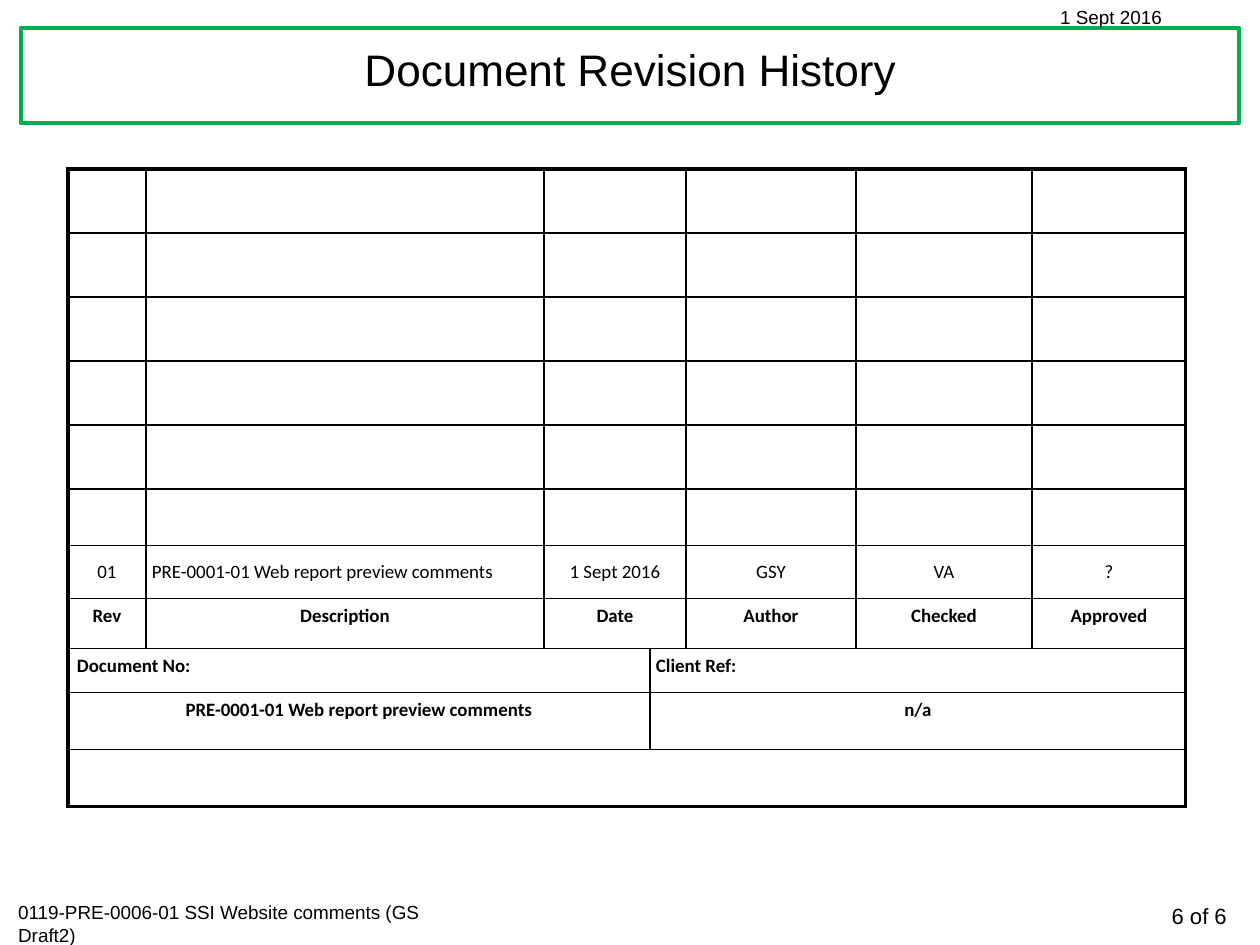
from dataclasses import dataclass

from lxml import etree
from pptx import Presentation
from pptx.dml.color import RGBColor
from pptx.enum.shapes import MSO_SHAPE
from pptx.enum.text import MSO_ANCHOR, MSO_AUTO_SIZE, PP_ALIGN
from pptx.oxml.ns import qn
from pptx.util import Emu, Pt

LEFT, CENTER, RIGHT = PP_ALIGN.LEFT, PP_ALIGN.CENTER, PP_ALIGN.RIGHT
TOP, MIDDLE = MSO_ANCHOR.TOP, MSO_ANCHOR.MIDDLE
RECTANGLE = MSO_SHAPE.RECTANGLE
NO_AUTOFIT = MSO_AUTO_SIZE.NONE
TITLE_ONLY = 5
EMU_PER_PX = 914400 / 113.4


@dataclass(frozen=True)
class Theme:
    ink: str = "000000"
    paper: str = "FFFFFF"
    accent: str = "00B050"
    heading_font: str = "Arial"
    table_font: str = "Calibri"
    title_size: int = 28
    page_size: int = 14
    small_size: int = 12
    frame_line: float = 2.75
    outer_line: float = 2.25
    inner_line: float = 1


THEME = Theme()

COLUMN_WIDTHS = [78, 398, 106, 36, 170, 176, 154]
ROW_HEIGHTS = [64] * 5 + [57, 53, 50, 44, 57, 57]
REVISION_ROW, HEADING_ROW, LABEL_ROW, REFERENCE_ROW, BLANK_ROW = range(6, 11)
REVISION_COLUMNS = [0, 1, 2, 4, 5, 6]
REVISION = ["01", "PRE-0001-01 Web report preview comments", "1 Sept 2016", "GSY", "VA", "?"]
HEADINGS = ["Rev", "Description", "Date", "Author", "Checked", "Approved"]
CLIENT_COLUMN = 3


def px(length):
    return Emu(round(length * EMU_PER_PX))


def format_text(frame, font, size, align, bold=False):
    for paragraph in frame.paragraphs:
        paragraph.alignment = align
        for run in paragraph.runs:
            run.font.name = font
            run.font.size = Pt(size)
            run.font.bold = bold
            run.font.color.rgb = RGBColor.from_string(THEME.ink)


def add_title_frame(slide, left, top, width, height):
    frame = slide.shapes.add_shape(RECTANGLE, px(left), px(top), px(width), px(height))
    frame.shadow.inherit = False
    frame.fill.solid()
    frame.fill.fore_color.rgb = RGBColor.from_string(THEME.paper)
    frame.line.color.rgb = RGBColor.from_string(THEME.accent)
    frame.line.width = Pt(THEME.frame_line)
    slide.shapes._spTree.insert(2, frame._element)


def set_title(slide, text, left, top, width, height):
    title = slide.shapes.title
    title.left, title.top, title.width, title.height = map(px, (left, top, width, height))
    title.text_frame.text = text
    title.text_frame.auto_size = NO_AUTOFIT
    title.text_frame.vertical_anchor = MIDDLE
    title.text_frame.paragraphs[0].line_spacing = 0.9
    format_text(title.text_frame, THEME.heading_font, THEME.title_size, CENTER)


def add_label(slide, text, left, top, width, height, size, align=LEFT):
    label = slide.shapes.add_textbox(px(left), px(top), px(width), px(height))
    label.text_frame.word_wrap = True
    label.text_frame.text = text
    format_text(label.text_frame, THEME.heading_font, size, align)


def set_borders(cell, widths):
    properties = cell._tc.get_or_add_tcPr()
    for position, (side, width) in enumerate(widths.items()):
        line = etree.Element(qn(f"a:ln{side}"), w=str(Pt(width)))
        fill = etree.SubElement(line, qn("a:solidFill"))
        etree.SubElement(fill, qn("a:srgbClr"), val=THEME.ink)
        properties.insert(position, line)


def style_grid(table):
    last_row, last_column = len(ROW_HEIGHTS) - 1, len(COLUMN_WIDTHS) - 1
    for row in range(last_row + 1):
        for column in range(last_column + 1):
            cell = table.cell(row, column)
            cell.fill.background()
            cell.margin_left = cell.margin_right = px(6)
            cell.margin_top = cell.margin_bottom = px(6)
            right_column = column + cell.span_width - 1 if cell.is_merge_origin else column
            on_edge = {
                "L": column == 0,
                "R": right_column == last_column,
                "T": row == 0,
                "B": row == last_row,
            }
            set_borders(cell, {
                side: THEME.outer_line if outer else THEME.inner_line
                for side, outer in on_edge.items()
            })


def fill_cell(cell, text, align=CENTER, anchor=TOP, bold=True):
    cell.text_frame.text = text
    cell.vertical_anchor = anchor
    format_text(cell.text_frame, THEME.table_font, THEME.small_size, align, bold)


def add_revision_table(slide, left, top):
    table = slide.shapes.add_table(
        len(ROW_HEIGHTS), len(COLUMN_WIDTHS), px(left), px(top),
        px(sum(COLUMN_WIDTHS)), px(sum(ROW_HEIGHTS)),
    ).table
    table.first_row = table.horz_banding = False
    for column, width in zip(table.columns, COLUMN_WIDTHS):
        column.width = px(width)
    for row, height in zip(table.rows, ROW_HEIGHTS):
        row.height = px(height)

    for row in range(LABEL_ROW):
        table.cell(row, 2).merge(table.cell(row, 3))
    for row in (LABEL_ROW, REFERENCE_ROW):
        table.cell(row, 0).merge(table.cell(row, 2))
        table.cell(row, CLIENT_COLUMN).merge(table.cell(row, 6))
    table.cell(BLANK_ROW, 0).merge(table.cell(BLANK_ROW, 6))
    style_grid(table)

    for column, entry, heading in zip(REVISION_COLUMNS, REVISION, HEADINGS):
        align = LEFT if heading == "Description" else CENTER
        fill_cell(table.cell(REVISION_ROW, column), entry, align, MIDDLE, bold=False)
        fill_cell(table.cell(HEADING_ROW, column), heading)
    document_label = table.cell(LABEL_ROW, 0)
    fill_cell(document_label, "Document No:", LEFT)
    document_label.margin_left = px(9)
    fill_cell(table.cell(LABEL_ROW, CLIENT_COLUMN), "Client Ref:", LEFT)
    fill_cell(table.cell(REFERENCE_ROW, 0), "PRE-0001-01 Web report preview comments")
    fill_cell(table.cell(REFERENCE_ROW, CLIENT_COLUMN), "n/a")


def main():
    presentation = Presentation()
    presentation.slide_width, presentation.slide_height = px(1260), px(945)
    slide = presentation.slides.add_slide(presentation.slide_layouts[TITLE_ONLY])
    add_title_frame(slide, 21, 28, 1218, 95)
    set_title(slide, "Document Revision History", 24, 28, 1212, 88)
    add_label(slide, "6 of 6", 1066, 897, 172, 39, THEME.page_size, RIGHT)
    add_label(slide, "0119-PRE-0006-01 SSI Website comments (GS Draft2)",
              7, 895, 452, 57, THEME.small_size)
    add_label(slide, "1 Sept 2016", 1049, 0, 190, 34, THEME.small_size)
    add_revision_table(slide, 68, 169)
    presentation.save("out.pptx")


if __name__ == "__main__":
    main()
